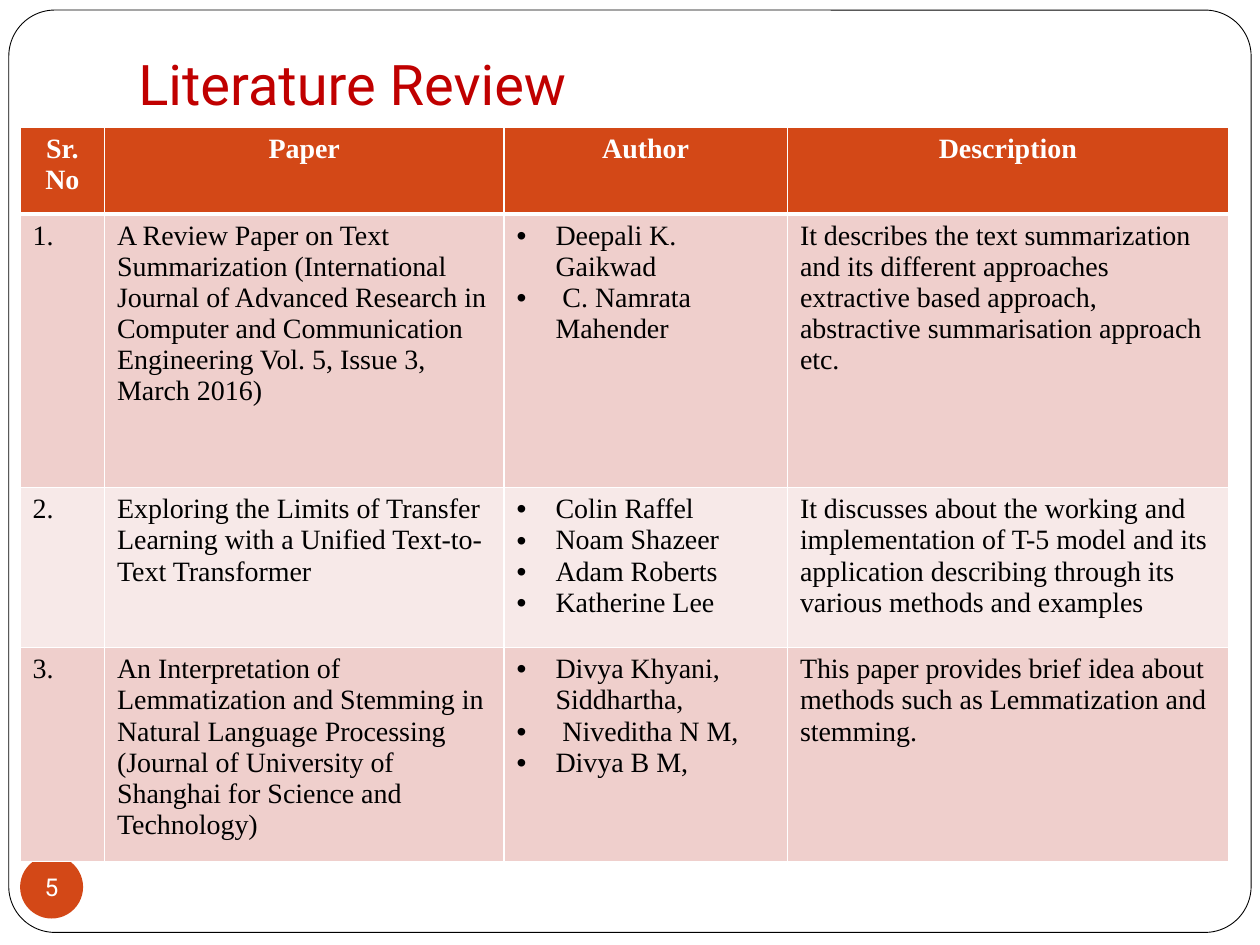
"""Build the literature review slide with its table of papers."""
from lxml import etree
from pptx import Presentation
from pptx.dml.color import RGBColor
from pptx.enum.shapes import MSO_SHAPE
from pptx.enum.text import MSO_ANCHOR, PP_ALIGN
from pptx.oxml.ns import qn
from pptx.util import Inches, Pt

ROUND_RECT, OVAL = MSO_SHAPE.ROUNDED_RECTANGLE, MSO_SHAPE.OVAL
CENTER, LEFT = PP_ALIGN.CENTER, PP_ALIGN.LEFT
MIDDLE, BOTTOM = MSO_ANCHOR.MIDDLE, MSO_ANCHOR.BOTTOM

WHITE = RGBColor(0xFF, 0xFF, 0xFF)
BLACK = RGBColor(0x00, 0x00, 0x00)
RED = RGBColor(0xC0, 0x00, 0x00)
ORANGE = RGBColor(0xD3, 0x48, 0x17)
BANDS = (RGBColor(0xEF, 0xCF, 0xCC), RGBColor(0xF7, 0xE9, 0xE8))
HEAD_FONT, BODY_FONT = "Roboto", "Times New Roman"

TITLE = "Literature Review"
PAGE = "5"
HEADERS = ("Sr. No", "Paper", "Author", "Description")
PAPERS = [
    ("1.",
     "A Review Paper on Text Summarization (International Journal of Advanced "
     "Research in Computer and Communication Engineering Vol. 5, Issue 3, March 2016)",
     ["Deepali K. Gaikwad", " C. Namrata Mahender"],
     "It describes the text summarization and its different approaches extractive "
     "based approach, abstractive summarisation approach etc."),
    ("2.",
     "Exploring the Limits of Transfer Learning with a Unified Text-to-Text Transformer",
     ["Colin Raffel", "Noam Shazeer", "Adam Roberts", "Katherine Lee"],
     "It discusses about the working and implementation of T-5 model and its "
     "application describing through its various methods and examples"),
    ("3.",
     "An Interpretation of Lemmatization and Stemming in Natural Language Processing "
     "(Journal of University of Shanghai for Science and Technology)",
     ["Divya Khyani, Siddhartha,", " Niveditha N M,", "Divya B M,"],
     "This paper provides brief idea about methods such as Lemmatization and stemming."),
]
COL_WIDTHS = (0.67, 3.17, 2.25, 3.5)
ROW_HEIGHTS = (0.69, 2.17, 1.27, 1.27)


def format_text(tf, font, size, color, align=LEFT, bold=False):
    for p in tf.paragraphs:
        p.alignment = align
        for r in p.runs:
            r.font.name, r.font.size, r.font.bold = font, Pt(size), bold
            r.font.color.rgb = color


def set_margins(tf, left, top, right, bottom):
    tf.margin_left, tf.margin_top = Inches(left), Inches(top)
    tf.margin_right, tf.margin_bottom = Inches(right), Inches(bottom)


def add_shape(slide, kind, box, fill):
    sp = slide.shapes.add_shape(kind, *map(Inches, box))
    sp.shadow.inherit = False
    sp.fill.solid()
    sp.fill.fore_color.rgb = fill
    sp.line.fill.background()
    return sp


def add_bullets(tf):
    for p in tf.paragraphs:
        pPr = p._p.get_or_add_pPr()
        pPr.set("marL", str(Inches(0.31)))
        pPr.set("indent", str(-Inches(0.31)))
        etree.SubElement(pPr, qn("a:buFont"), typeface="Arial")
        etree.SubElement(pPr, qn("a:buChar"), char="•")


def set_borders(cell, top, bottom):
    tcPr = cell._tc.get_or_add_tcPr()
    for side, width in (("L", 1), ("R", 1), ("T", top), ("B", bottom)):
        ln = etree.SubElement(tcPr, qn(f"a:ln{side}"), w=str(Pt(width)))
        solid = etree.SubElement(ln, qn("a:solidFill"))
        etree.SubElement(solid, qn("a:srgbClr"), val=str(WHITE))


def fill_cell(cell, content, row):
    header = row == 0
    set_borders(cell, 3 if row == 1 else 1, 3 if header else 1)
    cell.fill.solid()
    cell.fill.fore_color.rgb = ORANGE if header else BANDS[(row - 1) % 2]
    tf = cell.text_frame
    if isinstance(content, list):
        tf.text = "\n".join(content)
        add_bullets(tf)
    else:
        tf.text = content
    format_text(tf, BODY_FONT, 16, WHITE if header else BLACK,
                CENTER if header else LEFT, header)


def add_papers(slide):
    rows = [HEADERS, *PAPERS]
    box = (0.16, 1.01, sum(COL_WIDTHS), sum(ROW_HEIGHTS))
    table = slide.shapes.add_table(len(rows), len(HEADERS), *map(Inches, box)).table
    for col, width in zip(table.columns, COL_WIDTHS):
        col.width = Inches(width)
    for i, (height, row) in enumerate(zip(ROW_HEIGHTS, rows)):
        table.rows[i].height = Inches(height)
        for j, content in enumerate(row):
            fill_cell(table.cell(i, j), content, i)


def main():
    prs = Presentation()
    prs.slide_width, prs.slide_height = Inches(10), Inches(7.5)
    slide = prs.slides.add_slide(prs.slide_layouts[6])

    frame = add_shape(slide, ROUND_RECT, (0.07, 0.08, 9.86, 7.32), WHITE)
    frame.adjustments[0] = 0.05
    frame.line.color.rgb = BLACK
    frame.line.width = Pt(0.5)

    title = slide.shapes.add_textbox(*map(Inches, (1, 0.33, 8.5, 0.7)))
    tf = title.text_frame
    tf.word_wrap = True
    tf.vertical_anchor = BOTTOM
    set_margins(tf, 0.1, 0.05, 0.1, 0.1)
    tf.text = TITLE
    format_text(tf, HEAD_FONT, 32, RED)

    badge = add_shape(slide, OVAL, (0.16, 6.79, 0.5, 0.5), ORANGE)
    tf = badge.text_frame
    tf.word_wrap = False
    tf.vertical_anchor = MIDDLE
    set_margins(tf, 0, 0, 0, 0)
    tf.text = PAGE
    format_text(tf, HEAD_FONT, 14, WHITE, CENTER)

    add_papers(slide)
    prs.save("out.pptx")


if __name__ == "__main__":
    main()
